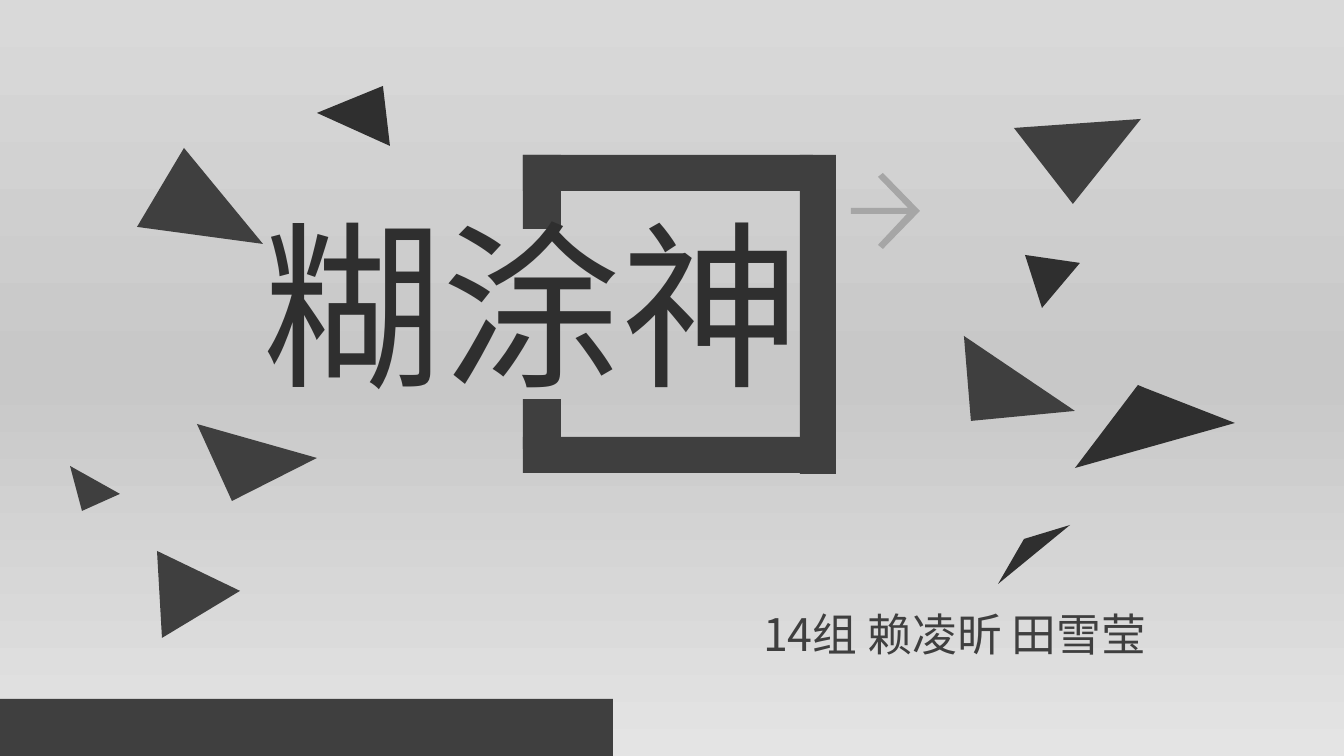
"""Build the title slide: broken square frame, scattered triangles and group names."""
import copy

import pptx
import pptx.dml.color
import pptx.enum.text
import pptx.oxml
import pptx.oxml.ns
import pptx.util

PX = 914400 / 134.4
THEME = {
    "font": "Noto Sans CJK SC",
    "title_size": 96,
    "names_size": 24,
    "line_spacing": 0.89,
    "dark": "2F2F2F",
    "grey": "3F3F3F",
    "arrow": "A6A6A6",
    "background": [(0, "D9D9D9"), (0.5, "C8C8C8"), (1, "E4E4E4")],
}


def paint(sp, color):
    sp.fill.solid()
    sp.fill.fore_color.rgb = pptx.dml.color.RGBColor.from_string(color)
    sp.line.fill.background()
    sp.shadow.inherit = False


def write(sp, text, size, color, wrap):
    tf = sp.text_frame
    tf.text = text
    tf.word_wrap = wrap
    tf.auto_size = pptx.enum.text.MSO_AUTO_SIZE.NONE
    tf.vertical_anchor = pptx.enum.text.MSO_ANCHOR.TOP
    tf.margin_left = tf.margin_top = tf.margin_right = tf.margin_bottom = 0
    p = tf.paragraphs[0]
    p.alignment = pptx.enum.text.PP_ALIGN.LEFT
    p.line_spacing = THEME["line_spacing"]
    r = p.runs[0]
    r.font.name = THEME["font"]
    r.font.size = pptx.util.Pt(size)
    r.font.color.rgb = pptx.dml.color.RGBColor.from_string(color)
    ea = pptx.oxml.parse_xml(f'<a:ea {pptx.oxml.ns.nsdecls("a")} typeface="{THEME["font"]}"/>')
    r.font.element.find(pptx.oxml.ns.qn("a:latin")).addnext(ea) if hasattr(r.font, "element") else \
        r._r.rPr.find(pptx.oxml.ns.qn("a:latin")).addnext(ea)


prs = pptx.Presentation()
prs.slide_width = round(1344 * PX)
prs.slide_height = round(756 * PX)
s = prs.slides.add_slide(prs.slide_layouts[5])

fill = s.background.fill
fill.gradient()
fill.gradient_angle = 270
stops = s.element.find(".//" + pptx.oxml.ns.qn("a:gsLst"))
stops.insert(1, copy.deepcopy(stops[0]))
for stop, (position, color) in zip(s.background.fill.gradient_stops, THEME["background"]):
    stop.position = position
    stop.color.rgb = pptx.dml.color.RGBColor.from_string(color)

bars = [
    (-4, 699, 617, 60),
    (523, 155, 38, 74),
    (523, 155, 290, 36),
    (800, 155, 36, 319),
    (523, 399, 38, 50),
    (523, 437, 290, 36),
]
for bar in bars:
    sp = s.shapes.add_shape(pptx.enum.shapes.MSO_SHAPE.RECTANGLE, *(round(v * PX) for v in bar))
    paint(sp, THEME["grey"])

names = s.shapes.add_textbox(*(round(v * PX) for v in (763, 613, 415, 109)))
write(names, "14组 赖凌昕 田雪莹", THEME["names_size"], THEME["grey"], True)

title = s.shapes.title
title.left, title.top, title.width, title.height = (round(v * PX) for v in (263, 220, 538, 218))
write(title, "糊涂神", THEME["title_size"], THEME["dark"], False)
title.element.getparent().append(title.element)

outlines = [
    ("arrow", [(878, 177), (883, 173), (920, 211), (883, 249), (878, 245),
               (907, 214), (851, 214), (851, 208), (908, 208)]),
    ("grey", [(197, 424), (317, 458), (232, 501)]),
    ("grey", [(157, 551), (240, 591), (162, 638)]),
    ("grey", [(70, 466), (82, 511), (120, 494)]),
    ("dark", [(1024, 539), (998, 584), (1070, 525)]),
    ("dark", [(383, 86), (390, 146), (317, 113)]),
    ("grey", [(1014, 128), (1141, 119), (1073, 204)]),
    ("dark", [(1025, 255), (1080, 263), (1042, 308)]),
    ("grey", [(964, 336), (971, 421), (1075, 411)]),
    ("dark", [(1138, 385), (1075, 468), (1235, 423), (1145, 388)]),
    ("grey", [(137, 227), (184, 148), (263, 244)]),
]
for color, points in outlines:
    builder = s.shapes.build_freeform(*points[0], scale=PX)
    builder.add_line_segments(points[1:], close=True)
    paint(builder.convert_to_shape(), THEME[color])

prs.save("out.pptx")
